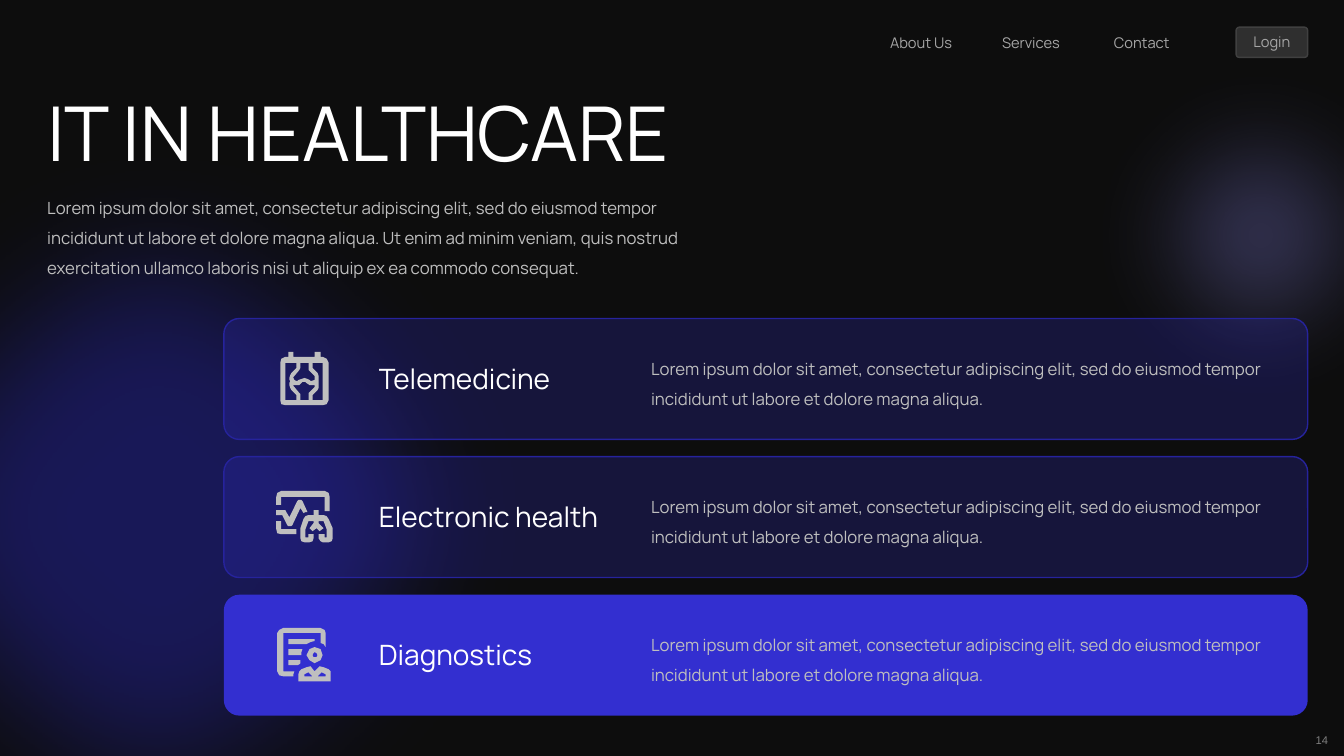
"""Builds the IT in healthcare slide: a header bar, an intro and three service rows."""
from lxml import etree
from pptx import Presentation
from pptx.dml.color import RGBColor
from pptx.enum.shapes import MSO_SHAPE
from pptx.enum.text import MSO_ANCHOR, PP_ALIGN
from pptx.oxml.ns import qn
from pptx.util import Inches, Pt

ROUNDED, OVAL = MSO_SHAPE.ROUNDED_RECTANGLE, MSO_SHAPE.OVAL
LEFT, CENTER, RIGHT = PP_ALIGN.LEFT, PP_ALIGN.CENTER, PP_ALIGN.RIGHT
TOP = MSO_ANCHOR.TOP

FONT, NUMBER_FONT = "Manrope", "Arial"
NIGHT, WHITE, SILVER, MUTED, GRAY = "0D0D0D", "FFFFFF", "BFBFBF", "A6A6A6", "7F7F7F"
BLUE, INDIGO, LILAC = "332FD0", "26239C", "8582E3"
BUTTON_FILL, BUTTON_LINE = "F2F2F2", "404040"

MENU = ["About Us", "Services", "Contact"]
LOGIN = "Login"
PAGE = "14"
TITLE = "IT IN HEALTHCARE"
INTRO = ("Lorem ipsum dolor sit amet, consectetur adipiscing elit, sed do eiusmod tempor "
         "incididunt ut labore et dolore magna aliqua. Ut enim ad minim veniam, quis nostrud "
         "exercitation ullamco laboris nisi ut aliquip ex ea commodo consequat.")
DETAIL = ("Lorem ipsum dolor sit amet, consectetur adipiscing elit, sed do eiusmod tempor "
          "incididunt ut labore et dolore magna aliqua.")

JOINT_SCAN = [
    [(5, 53), (1, 52), (0, 48), (0, 11), (1, 7), (5, 5), (8, 5), (8, 0), (13, 0), (13, 5),
     (34, 5), (34, 0), (40, 0), (40, 5), (42, 5), (46, 7), (48, 11), (48, 48), (46, 52), (42, 53)],
    [(5, 48), (42, 48), (42, 11), (5, 11)],
    [(16, 48), (16, 43), (11, 38), (10, 36), (9, 33), (9, 31), (10, 29), (9, 28), (9, 26),
     (10, 23), (11, 21), (16, 16), (16, 11), (20, 11), (20, 16), (19, 18), (14, 24), (13, 25),
     (13, 26), (14, 28), (16, 29), (17, 29), (18, 28), (21, 27), (24, 26), (27, 27), (29, 28),
     (30, 29), (31, 29), (34, 28), (34, 24), (28, 18), (28, 11), (32, 11), (32, 16), (37, 21),
     (38, 24), (38, 36), (37, 38), (32, 43), (32, 48), (28, 48), (28, 41), (34, 35), (34, 33),
     (31, 33), (29, 33), (26, 31), (25, 30), (22, 30), (21, 31), (19, 33), (16, 33), (13, 33),
     (13, 34), (14, 35), (19, 41), (20, 42), (20, 48)],
]
LUNG_MONITOR = [
    [(0, 14), (0, 6), (1, 2), (5, 0), (48, 0), (52, 2), (53, 6), (53, 20), (48, 20), (48, 6),
     (5, 6), (5, 14)],
    [(5, 43), (1, 42), (0, 38), (0, 30), (5, 30), (5, 38), (20, 38), (20, 43)],
    [(13, 35), (12, 35), (11, 34), (6, 24), (0, 24), (0, 19), (9, 19), (10, 21), (13, 26),
     (21, 10), (22, 9), (25, 9), (26, 10), (31, 21), (29, 21), (27, 22), (24, 17), (16, 34),
     (15, 35)],
    [(28, 51), (25, 50), (24, 47), (24, 37), (27, 28), (29, 25), (32, 24), (37, 24), (37, 19),
     (42, 19), (42, 24), (47, 24), (50, 25), (52, 28), (56, 37), (56, 47), (55, 50), (52, 51),
     (46, 51), (44, 50), (42, 47), (42, 43), (48, 43), (48, 46), (50, 46), (50, 38), (47, 30),
     (42, 30), (42, 32), (47, 37), (43, 40), (40, 37), (36, 40), (33, 37), (37, 32), (37, 30),
     (32, 30), (29, 38), (29, 46), (32, 46), (32, 43), (37, 43), (37, 47), (36, 50), (33, 51)],
]
PATIENT_RECORD = [
    [(37, 35), (32, 32), (29, 27), (32, 21), (37, 19), (43, 21), (45, 27), (43, 32)],
    [(37, 29), (39, 29), (40, 27), (39, 25), (37, 24), (36, 25), (35, 27), (36, 29)],
    [(21, 53), (21, 46), (22, 43), (24, 41), (29, 39), (33, 38), (37, 43), (42, 38), (46, 39),
     (51, 41), (53, 43), (53, 53)],
    [(27, 48), (35, 48), (31, 44), (29, 45), (27, 46)],
    [(40, 48), (48, 48), (48, 46), (46, 45), (44, 44)],
    [(6, 48), (2, 47), (0, 43), (0, 5), (2, 2), (6, 0), (43, 0), (47, 2), (48, 5), (48, 19),
     (46, 16), (43, 15), (43, 5), (6, 5), (6, 43), (17, 43), (16, 46), (16, 48)],
    [(11, 16), (29, 16), (33, 14), (37, 13), (37, 11), (11, 11)],
    [(11, 27), (24, 27), (24, 24), (25, 21), (11, 21)],
    [(11, 37), (20, 37), (22, 36), (23, 35), (23, 32), (11, 32)],
]

SERVICES = [
    ("Telemedicine", JOINT_SCAN, 2.78, 0.33, 24, INDIGO),
    ("Electronic health", LUNG_MONITOR, 2.74, 0.34, 24, INDIGO),
    ("Diagnostics", PATIENT_RECORD, 2.75, 0.33, 100, None),
]
GLOWS = [(10.3, 0.13, 4.4, LILAC, 34, 75), (-2.58, 0.97, 8.31, INDIGO, 52, 100)]
ROW_TOP, ROW_PITCH = 3.16, 1.37
MENU_LEFT, MENU_PITCH = 8.73, 1.11
ICON_UNIT = Inches(0.01)

prs = Presentation()
prs.slide_width, prs.slide_height = Inches(13.33), Inches(7.5)
slide = prs.slides.add_slide(prs.slide_layouts[6])


def paint(fill, color, opacity=100):
    fill.solid()
    fill.fore_color.rgb = RGBColor.from_string(color)
    if opacity < 100:
        color_tag = fill._xPr.find(qn("a:solidFill"))[0]
        etree.SubElement(color_tag, qn("a:alpha")).set("val", str(opacity * 1000))


def finish(shape, color, opacity=100, outline=None):
    shape.shadow.inherit = False
    paint(shape.fill, color, opacity)
    if outline:
        paint(shape.line.fill, outline)
        shape.line.width = Pt(1)
    else:
        shape.line.fill.background()


def add_block(kind, box, color, opacity=100, outline=None, corner=None):
    block = slide.shapes.add_shape(kind, *map(Inches, box))
    if corner is not None:
        block.adjustments[0] = corner
    finish(block, color, opacity, outline)
    return block


def write(frame, words, size, color, align=LEFT, font=FONT, spacing=None):
    frame.word_wrap = True
    frame.vertical_anchor = TOP
    paragraph = frame.paragraphs[0]
    paragraph.alignment = align
    if spacing:
        paragraph.line_spacing = spacing
    run = paragraph.add_run()
    run.text = words
    run.font.size, run.font.name = Pt(size), font
    run.font.color.rgb = RGBColor.from_string(color)


def add_words(box, words, size, color, **style):
    write(slide.shapes.add_textbox(*map(Inches, box)).text_frame, words, size, color, **style)


def add_icon(outlines, left, top):
    builder = slide.shapes.build_freeform(*outlines[0][0], scale=ICON_UNIT)
    for index, outline in enumerate(outlines):
        if index:
            builder.move_to(*outline[0])
        builder.add_line_segments(outline[1:], close=True)
    finish(builder.convert_to_shape(Inches(left), Inches(top)), SILVER)


paint(slide.background.fill, NIGHT)

login = add_block(ROUNDED, (12.26, 0.27, 0.71, 0.3), BUTTON_FILL, 15, BUTTON_LINE, 0.105)
write(login.text_frame, LOGIN, 10.5, MUTED, align=CENTER)
for index, entry in enumerate(MENU):
    add_words((MENU_LEFT + index * MENU_PITCH, 0.29, 0.87, 0.29), entry, 10.5, MUTED)
add_words((12.4, 7.23, 0.87, 0.24), PAGE, 8, GRAY, align=RIGHT, font=NUMBER_FONT)

for left, top, size, color, opacity, blur in GLOWS:
    glow = add_block(OVAL, (left, top, size, size), color, opacity)
    effects = glow._element.spPr.find(qn("a:effectLst"))
    etree.SubElement(effects, qn("a:softEdge")).set("rad", str(Pt(blur)))

add_words((0.37, 0.8, 6.98, 1.01), TITLE, 54, WHITE)
add_words((0.37, 1.81, 6.98, 1.01), INTRO, 12, SILVER, spacing=1.5)

for index, (service, icon, icon_left, icon_drop, opacity, outline) in enumerate(SERVICES):
    top = ROW_TOP + index * ROW_PITCH
    add_block(ROUNDED, (2.22, top, 10.75, 1.2), BLUE, opacity, outline, 0.128)
    add_icon(icon, icon_left, top + icon_drop)
    add_words((3.66, top + 0.38, 2.7, 0.44), service, 20, WHITE)
    add_words((6.36, top + 0.25, 6.34, 0.71), DETAIL, 12, SILVER, spacing=1.5)

prs.save("out.pptx")
